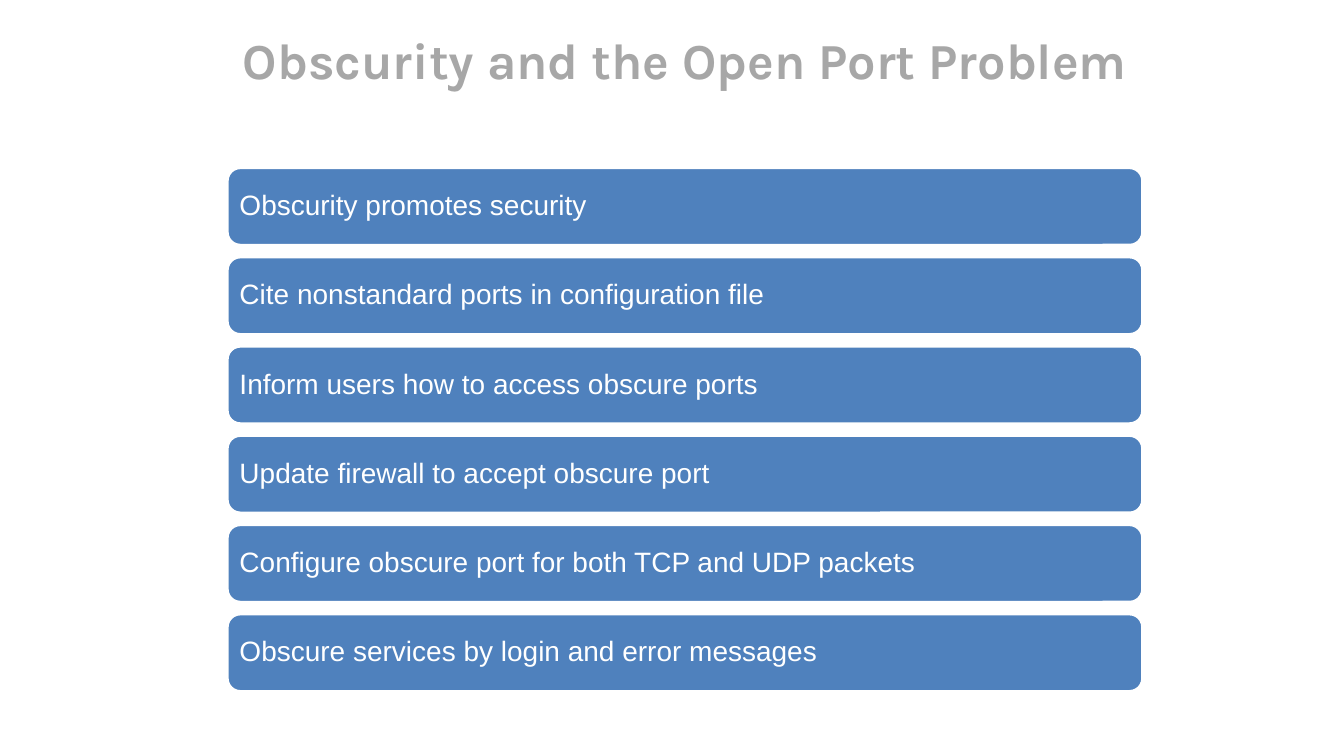
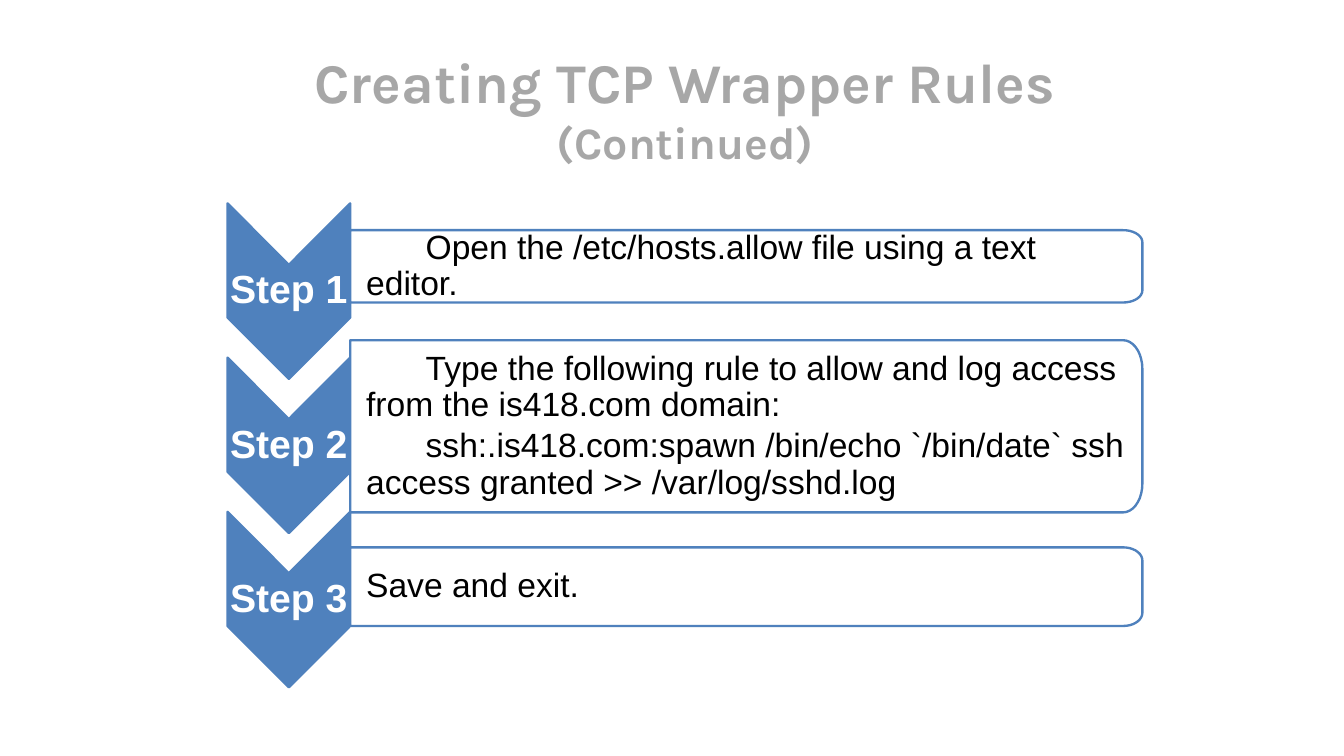
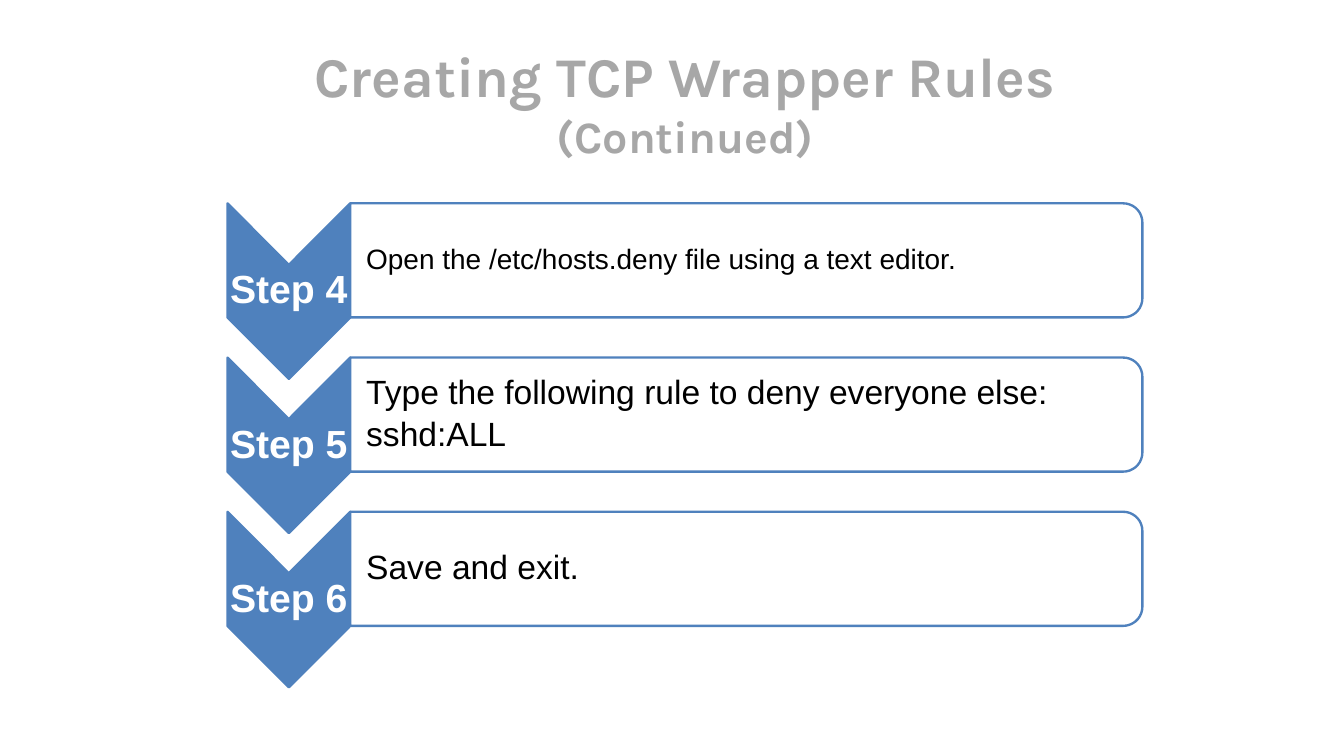
import math
from pptx import Presentation
from pptx.dml.color import RGBColor
from pptx.enum import shapes, text
from pptx.util import Pt

# Content
BARS = [
    "Obscurity promotes security",
    "Cite nonstandard ports in configuration file",
    "Inform users how to access obscure ports",
    "Update firewall to accept obscure port",
    "Configure obscure port for both TCP and UDP packets",
    "Obscure services by login and error messages",
]
RULES = [("Creating TCP Wrapper Rules ", 48), ("(Continued)", 38.4)]
# Each step: box top, box height, text size, first-line indent, paragraphs
OPEN = [
    (197.3, 62, 28.8, 51, ["Open the /etc/hosts.allow file using a text editor."]),
    (291.6, 147.6, 28.8, 51, [
        "Type the following rule to allow and log access from the is418.com domain:",
        "ssh:.is418.com:spawn /bin/echo `/bin/date` ssh access granted >> /var/log/sshd.log"]),
    (469.2, 67.4, 28.8, 0, ["Save and exit."]),
]
TOP, PITCH, SIDE = 174.3, 132.2, 97.8
DENY = [
    (TOP + i * PITCH, SIDE, size, 0, paras) for i, (size, paras) in enumerate([
        (24, ["Open the /etc/hosts.deny file using a text editor."]),
        (28.8, ["Type the following rule to deny everyone else:", "sshd:ALL"]),
        (28.8, ["Save and exit."]),
    ])
]

# Shared look
BLUE = RGBColor(0x4F, 0x81, 0xBD)
GREY = RGBColor(0xA7, 0xA7, 0xA7)
WHITE = RGBColor(0xFF, 0xFF, 0xFF)
BLACK = RGBColor(0, 0, 0)
LEFT, WIDE = 195, 784.2
RIGHT = LEFT + WIDE
STEM, TIP = 105.2, 52.7  # chevron width and depth of its point

deck = Presentation()
deck.slide_width, deck.slide_height = Pt(1152), Pt(648)


def write(shape, paras, size=24, color=WHITE, font="Arial", bold=False,
          align=text.PP_ALIGN.LEFT, line=0.9, after=0, indent=0, pad=(0, 0, 0, 0)):
    """Fill a shape with paragraphs; each is a string or a list of (text, size)."""
    frame = shape.text_frame
    frame.word_wrap = True
    frame.auto_size = text.MSO_AUTO_SIZE.NONE
    frame.vertical_anchor = text.MSO_ANCHOR.MIDDLE
    (frame.margin_left, frame.margin_top,
     frame.margin_right, frame.margin_bottom) = map(Pt, pad)
    for i, para in enumerate(paras):
        p = frame.add_paragraph() if i else frame.paragraphs[0]
        p.alignment, p.line_spacing = align, line
        p.space_before = Pt(0)
        p.space_after = Pt(after if i < len(paras) - 1 else 0)
        if indent:
            props = p._p.get_or_add_pPr()
            props.set("marL", "0")
            props.set("indent", str(Pt(indent)))
        for words, points in ([(para, size)] if isinstance(para, str) else para):
            run = p.add_run()
            run.text = words
            run.font.name, run.font.size, run.font.bold = font, Pt(points), bold
            run.font.color.rgb = color


def paint(shape, fill, line):
    shape.shadow.inherit = False
    shape.fill.solid()
    shape.fill.fore_color.rgb = fill
    shape.line.color.rgb = line
    shape.line.width = Pt(2)
    return shape


def trace(slide, points, fill):
    """Draw a closed outline through points."""
    (x, y), *rest = [(Pt(a), Pt(b)) for a, b in points]
    path_pen = slide.shapes.build_freeform(x, y)
    path_pen.add_line_segments(rest, close=True)
    return paint(path_pen.convert_to_shape(), fill, BLUE)


def start(title, high):
    """Add a slide with the shared title style."""
    slide = deck.slides.add_slide(deck.slide_layouts[5])
    head = slide.shapes.title
    head.left, head.top, head.width, head.height = map(Pt, (LEFT, 28.8, WIDE, high))
    write(head, [title], color=GREY, font="Karla", bold=True,
          align=text.PP_ALIGN.CENTER, line=1.0, pad=(5, 5, 5, 5))
    return slide


def chevron(slide, top, label):
    mid, end, low = LEFT + STEM / 2, LEFT + STEM, top + SIDE
    shape = trace(slide, [(end, top), (end, low), (mid, low + TIP), (LEFT, low),
                          (LEFT, top), (mid, top + TIP)], BLUE)
    write(shape, [label], size=33.6, bold=True, align=text.PP_ALIGN.CENTER)


def panel(slide, top, high, size, indent, paras):
    """Box whose two right corners are rounded."""
    x, rx, ry = LEFT + STEM, 16.5, high / 6
    turns = [math.radians(a) for a in range(0, 91, 10)]
    upper = [(RIGHT - rx + rx * math.sin(a), top + ry - ry * math.cos(a)) for a in turns]
    lower = [(a, 2 * top + high - b) for a, b in reversed(upper)]
    shape = trace(slide, [(x, top), *upper, *lower, (x, top + high)], WHITE)
    write(shape, paras, size=size, color=BLACK, after=4.3, indent=indent,
          pad=(13.7, 5.8, 5.8, 5.8))


def steps(high, first, rows):
    slide = start(RULES, high)
    for i, row in enumerate(rows):
        chevron(slide, TOP + i * PITCH, f"Step {first + i}")
        panel(slide, *row)


# Slide 1: stacked bars
slide = start([("Obscurity and the Open Port Problem", 43.2)], 44.6)
for i, label in enumerate(BARS):
    bar = slide.shapes.add_shape(shapes.MSO_SHAPE.ROUNDED_RECTANGLE, Pt(LEFT),
                                 Pt(144 + i * 76.5), Pt(WIDE), Pt(66))
    write(paint(bar, BLUE, WHITE), [label], pad=(7.2, 7.2, 7.2, 7.2))

# Slides 2 and 3: numbered steps
steps(127.4, 1, OPEN)
steps(118, 4, DENY)

deck.save("out.pptx")
